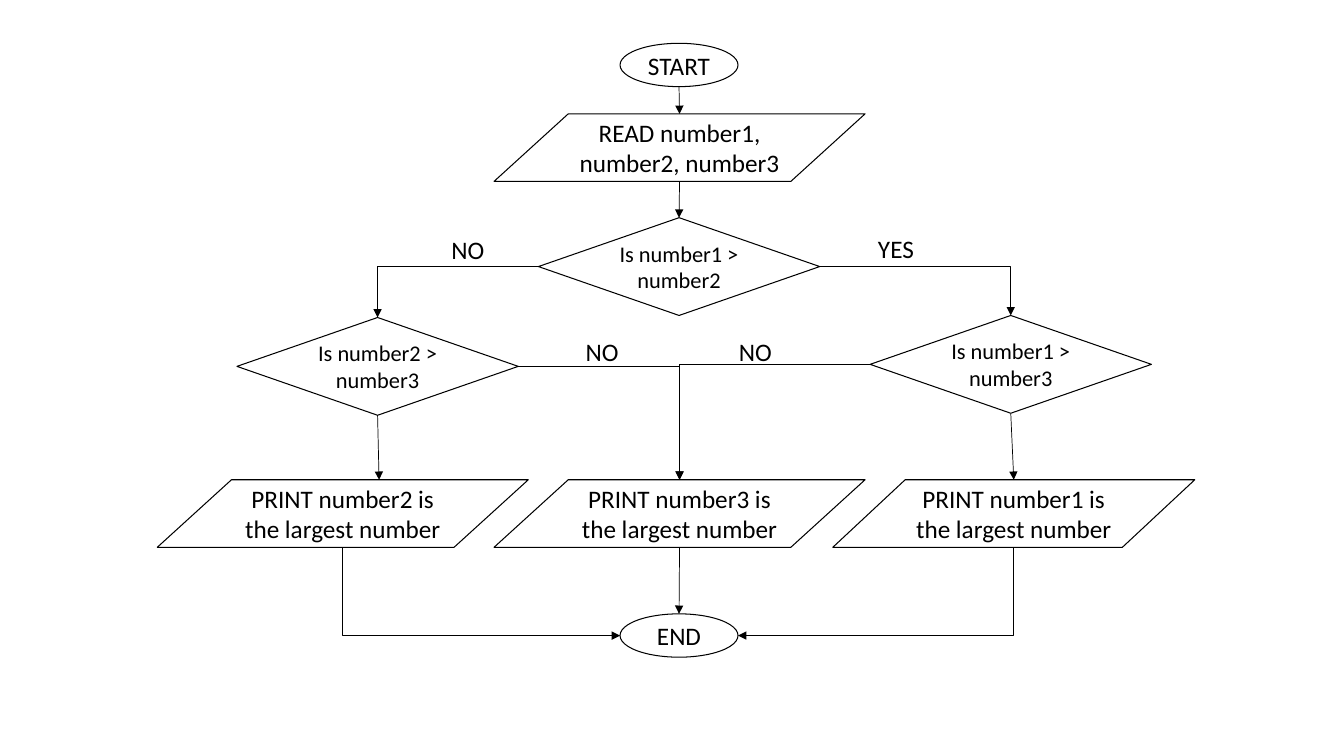
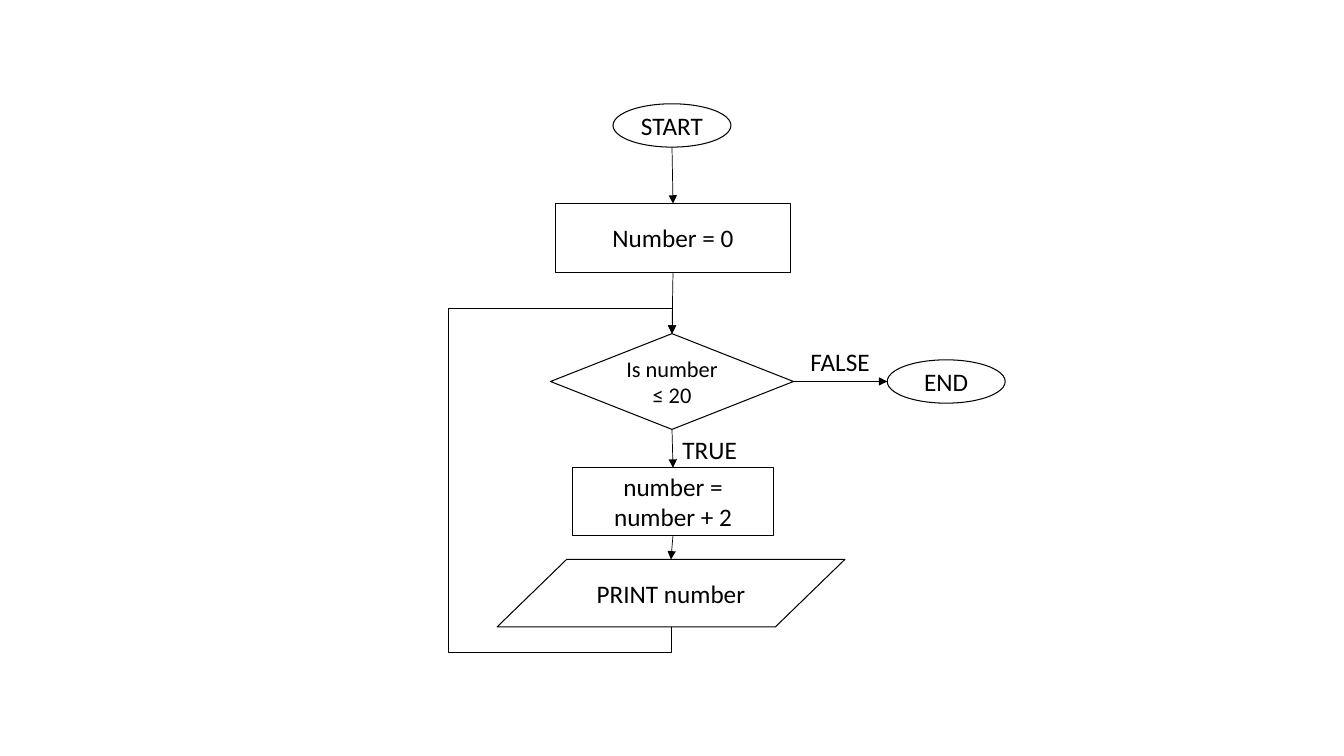
"""Build two flowchart slides: the largest of three numbers, and a counting loop."""
from dataclasses import dataclass

import lxml.etree
import pptx
import pptx.dml.color
import pptx.enum.shapes
import pptx.enum.text
import pptx.oxml.ns
import pptx.util

Inches = pptx.util.Inches
Pt = pptx.util.Pt
qn = pptx.oxml.ns.qn
MSO_SHAPE = pptx.enum.shapes.MSO_SHAPE
MSO_CONNECTOR = pptx.enum.shapes.MSO_CONNECTOR
PP_ALIGN = pptx.enum.text.PP_ALIGN

FONT = "Calibri"
INK = "000000"
OVAL = MSO_SHAPE.OVAL
PROCESS = MSO_SHAPE.RECTANGLE
DECISION = MSO_SHAPE.FLOWCHART_DECISION
DATA = MSO_SHAPE.FLOWCHART_DATA
TOP, LEFT, BOTTOM, RIGHT = range(4)
SIDEWAYS = (LEFT, RIGHT)
SITES = {OVAL: (0, 2, 4, 6), DATA: (1, 2, 4, 5)}


@dataclass(frozen=True)
class Node:
    name: str
    kind: MSO_SHAPE
    x: float
    y: float
    w: float
    h: float
    text: str


@dataclass(frozen=True)
class Loop:
    bottom: float
    left: float
    top: float


@dataclass(frozen=True)
class Link:
    start: str
    start_side: int
    end: str
    end_side: int
    loop: Loop | None = None
    end_shift: float = 0


@dataclass(frozen=True)
class Label:
    x: float
    y: float
    w: float
    text: str


@dataclass(frozen=True)
class Flowchart:
    nodes: list[Node]
    links: list[Link]
    labels: list[Label]


def rgb(color: str) -> pptx.dml.color.RGBColor:
    return pptx.dml.color.RGBColor.from_string(color)


def write(tf, text: str, *, size: float = 18, color: str = INK, align=PP_ALIGN.LEFT) -> None:
    p = tf.paragraphs[0]
    p.alignment = align
    r = p.add_run()
    r.text = text
    r.font.name = FONT
    r.font.size = Pt(size)
    r.font.color.rgb = rgb(color)


def set_line(line, width: float, color: str = INK) -> None:
    line.color.rgb = rgb(color)
    line.width = Pt(width)


def add_node(s, node: Node):
    sp = s.shapes.add_shape(
        node.kind, Inches(node.x), Inches(node.y), Inches(node.w), Inches(node.h)
    )
    sp.shadow.inherit = False
    sp.fill.background()
    set_line(sp.line, 0.75)
    tf = sp.text_frame
    tf.word_wrap = True
    tf.vertical_anchor = pptx.enum.text.MSO_ANCHOR.MIDDLE
    size = 16 if node.kind == DECISION else 18
    write(tf, node.text, size=size, align=PP_ALIGN.CENTER)
    return sp


def add_label(s, label: Label) -> None:
    sp = s.shapes.add_textbox(
        Inches(label.x), Inches(label.y), Inches(label.w), Inches(0.4)
    )
    tf = sp.text_frame
    tf.word_wrap = False
    tf.auto_size = pptx.enum.text.MSO_AUTO_SIZE.SHAPE_TO_FIT_TEXT
    write(tf, label.text)


def side_point(sp, side: int) -> tuple[int, int]:
    cx, cy = sp.left + sp.width // 2, sp.top + sp.height // 2
    return {
        TOP: (cx, sp.top),
        LEFT: (sp.left, cy),
        BOTTOM: (cx, sp.top + sp.height),
        RIGHT: (sp.left + sp.width, cy),
    }[side]


def join(c, sp, side: int, tag: str) -> None:
    sites = SITES.get(sp.auto_shape_type)
    if sites:
        lxml.etree.SubElement(
            c.element.nvCxnSpPr.cNvCxnSpPr, qn(tag), id=str(sp.shape_id), idx=str(sites[side])
        )
    elif tag == "a:stCxn":
        c.begin_connect(sp, side)
    else:
        c.end_connect(sp, side)


def turn(c, x1: int, y1: int, x2: int, y2: int) -> None:
    dx, dy = x2 - x1, y2 - y1
    c.left = (x1 + x2 - abs(dy)) // 2
    c.top = (y1 + y2 - abs(dx)) // 2
    c.width, c.height = abs(dy), abs(dx)
    xfrm = c.element.spPr.xfrm
    xfrm.rot = 90
    xfrm.flipH = dy < 0
    xfrm.flipV = dx > 0


def set_bends(c, preset: str, *ratios: float) -> None:
    geom = c.element.spPr.find(qn("a:prstGeom"))
    geom.set("prst", preset)
    for i, ratio in enumerate(ratios, 1):
        lxml.etree.SubElement(
            geom.find(qn("a:avLst")), qn("a:gd"), name=f"adj{i}", fmla=f"val {round(ratio * 100000)}"
        )


def add_link(s, link: Link, shapes: dict) -> None:
    start, end = shapes[link.start], shapes[link.end]
    x1, y1 = side_point(start, link.start_side)
    x2, y2 = side_point(end, link.end_side)
    x2 += Inches(link.end_shift)
    leaves_sideways = link.start_side in SIDEWAYS
    corner = leaves_sideways != (link.end_side in SIDEWAYS) or (
        link.end_side == TOP and leaves_sideways
    )
    bent = corner or link.loop is not None
    kind = MSO_CONNECTOR.ELBOW if bent else MSO_CONNECTOR.STRAIGHT
    c = s.shapes.add_connector(kind, x1, y1, x2, y2)
    join(c, start, link.start_side, "a:stCxn")
    if not link.end_shift:
        join(c, end, link.end_side, "a:endCxn")
    if bent and not leaves_sideways:
        turn(c, x1, y1, x2, y2)
    if link.loop:
        bottom, top = (
            (Inches(y) - y1) / (y2 - y1) for y in (link.loop.bottom, link.loop.top)
        )
        left = (Inches(link.loop.left) - x1) / (x2 - x1)
        set_bends(c, "bentConnector5", bottom, left, top)
    elif corner:
        set_bends(c, "bentConnector2")
    set_line(c.line, 0.5)
    spPr = c.element.spPr
    lxml.etree.SubElement(spPr.find(qn("a:ln")), qn("a:tailEnd"), type="triangle")
    lxml.etree.SubElement(spPr, qn("a:effectLst"))


def add_flowchart(prs, chart: Flowchart) -> None:
    s = prs.slides.add_slide(prs.slide_layouts[6])
    shapes = {node.name: add_node(s, node) for node in chart.nodes}
    for link in chart.links:
        add_link(s, link, shapes)
    for label in chart.labels:
        add_label(s, label)


def terminal(name: str, x: float, y: float) -> Node:
    return Node(name, OVAL, x, y, 1.17, 0.43, name.upper())


def comparison(name: str, x: float, y: float, a: int, b: int) -> Node:
    return Node(name, DECISION, x, y, 2.79, 0.97, f"Is number{a} > number{b}")


def result(number: int, x: float, w: float) -> Node:
    text = f"PRINT number{number} is the largest number"
    return Node(f"print{number}", DATA, x, 4.76, w, 0.67, text)


LARGEST = Flowchart(
    nodes=[
        terminal("start", 6.15, 0.43),
        Node("read", DATA, 4.9, 1.13, 3.68, 0.67, "READ number1, number2, number3"),
        comparison("first", 5.34, 2.16, 1, 2),
        comparison("right", 8.63, 3.13, 1, 3),
        result(1, 8.26, 3.59),
        comparison("left", 2.35, 3.15, 2, 3),
        result(3, 4.9, 3.68),
        result(2, 1.56, 3.68),
        terminal("end", 6.15, 6.09),
    ],
    links=[
        Link("start", BOTTOM, "read", TOP),
        Link("read", BOTTOM, "first", TOP),
        Link("first", RIGHT, "right", TOP),
        Link("right", LEFT, "print3", TOP),
        Link("left", RIGHT, "print3", TOP),
        Link("first", LEFT, "left", TOP),
        Link("left", BOTTOM, "print2", TOP, end_shift=0.36),
        Link("right", BOTTOM, "print1", TOP),
        Link("print2", BOTTOM, "end", LEFT),
        Link("print1", BOTTOM, "end", RIGHT),
        Link("print3", BOTTOM, "end", TOP),
    ],
    labels=[
        Label(8.61, 2.27, 0.56, "YES"),
        Label(4.38, 2.28, 0.53, "NO"),
        Label(5.71, 3.29, 0.53, "NO"),
        Label(7.23, 3.29, 0.53, "NO"),
    ],
)

COUNTING = Flowchart(
    nodes=[
        terminal("start", 6.08, 1.03),
        Node("init", PROCESS, 5.51, 2.02, 2.33, 0.68, "Number = 0"),
        Node("check", DECISION, 5.46, 3.31, 2.41, 0.95, "Is number ≤ 20"),
        Node("print", DATA, 4.93, 5.55, 3.45, 0.67, "PRINT number"),
        Node("add", PROCESS, 5.68, 4.64, 1.99, 0.67, "number = number + 2"),
        terminal("end", 8.8, 3.57),
    ],
    links=[
        Link("start", BOTTOM, "init", TOP),
        Link("check", RIGHT, "end", LEFT),
        Link("check", BOTTOM, "add", TOP),
        Link("add", BOTTOM, "print", TOP),
        Link("print", BOTTOM, "check", TOP, loop=Loop(6.47, 4.41, 3.06)),
        Link("init", BOTTOM, "check", TOP),
    ],
    labels=[Label(6.67, 4.26, 0.75, "TRUE"), Label(7.94, 3.39, 0.79, "FALSE")],
)


def main() -> None:
    prs = pptx.Presentation()
    prs.slide_width, prs.slide_height = Inches(13.33), Inches(7.5)
    for chart in (LARGEST, COUNTING):
        add_flowchart(prs, chart)
    prs.save("out.pptx")


if __name__ == "__main__":
    main()
